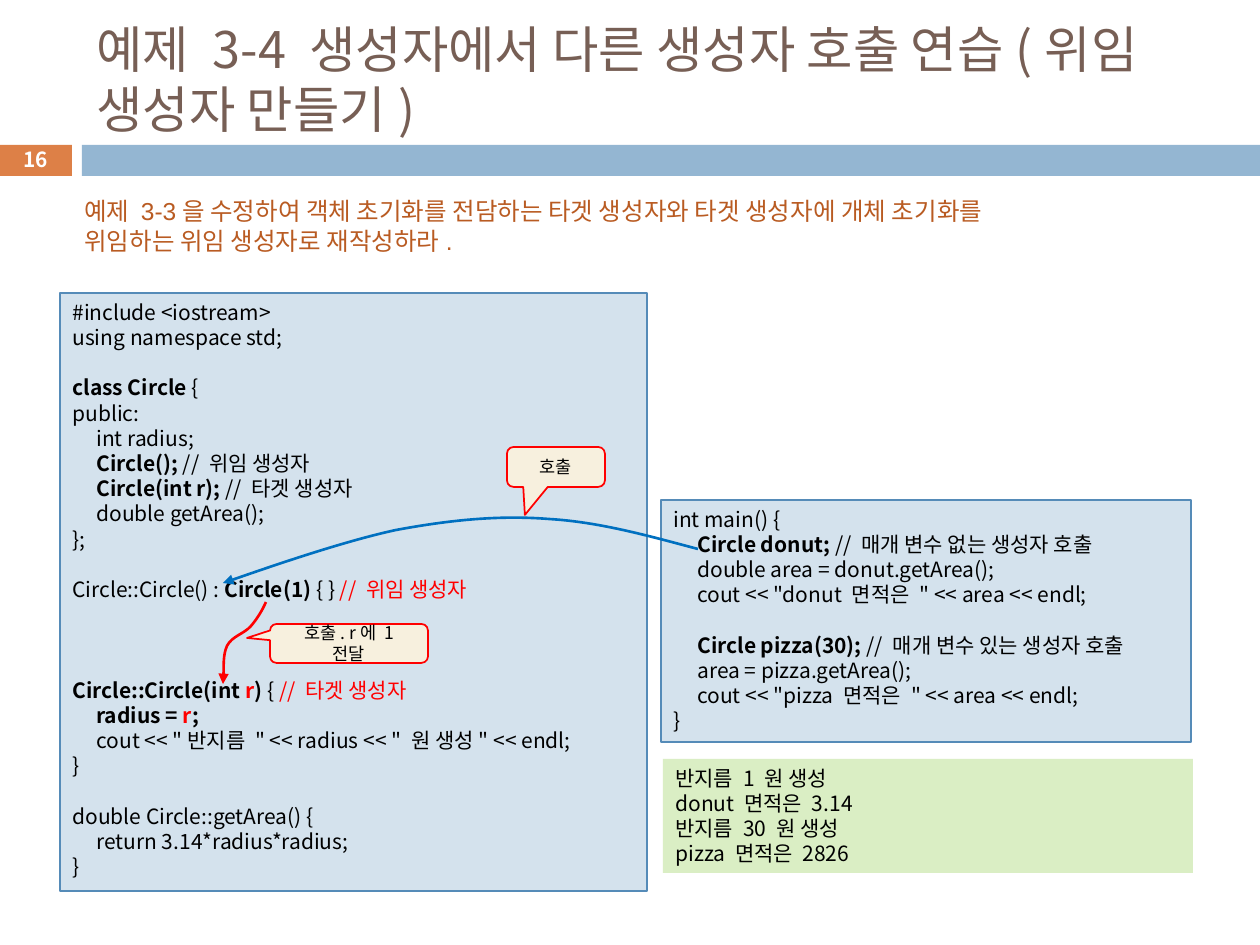
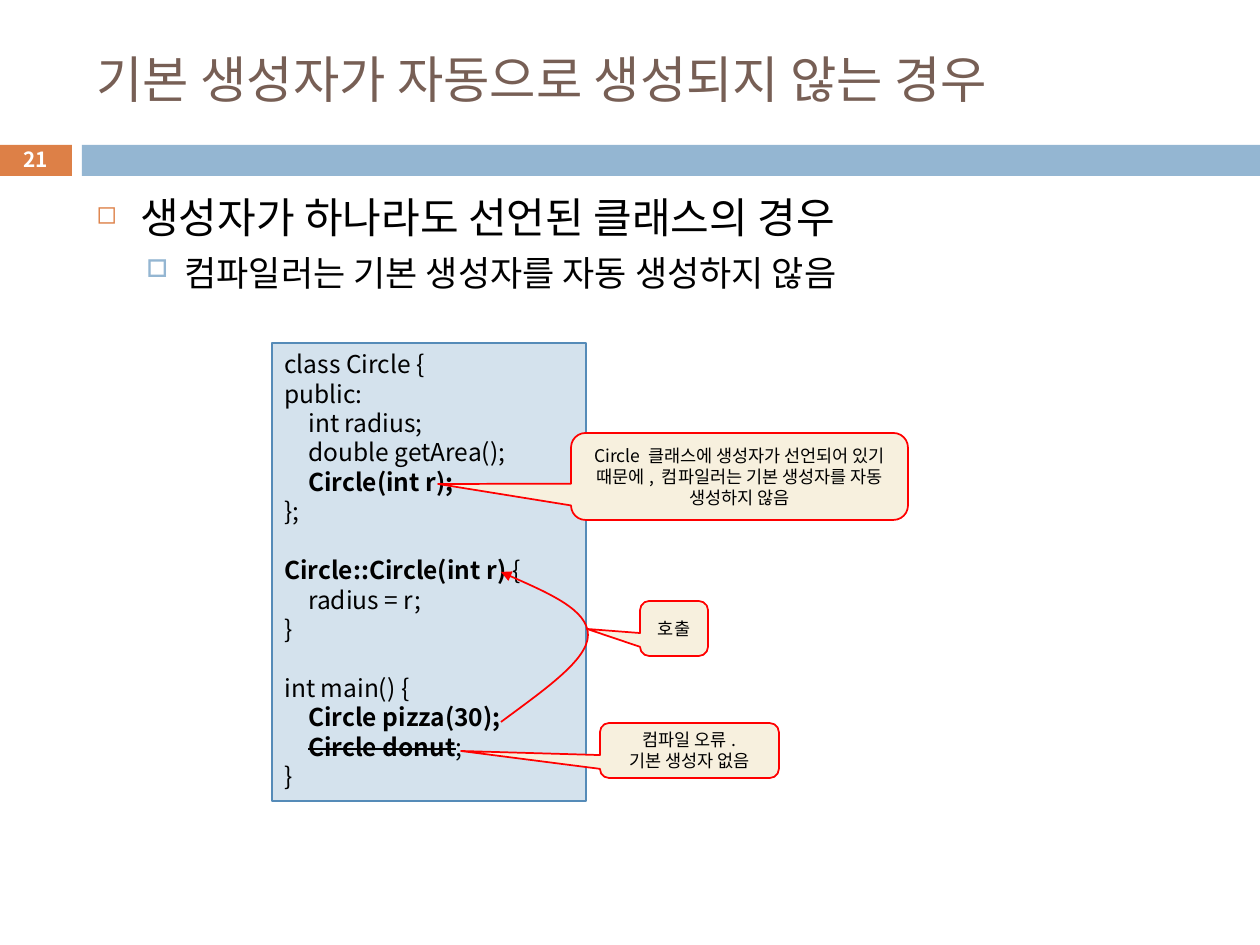
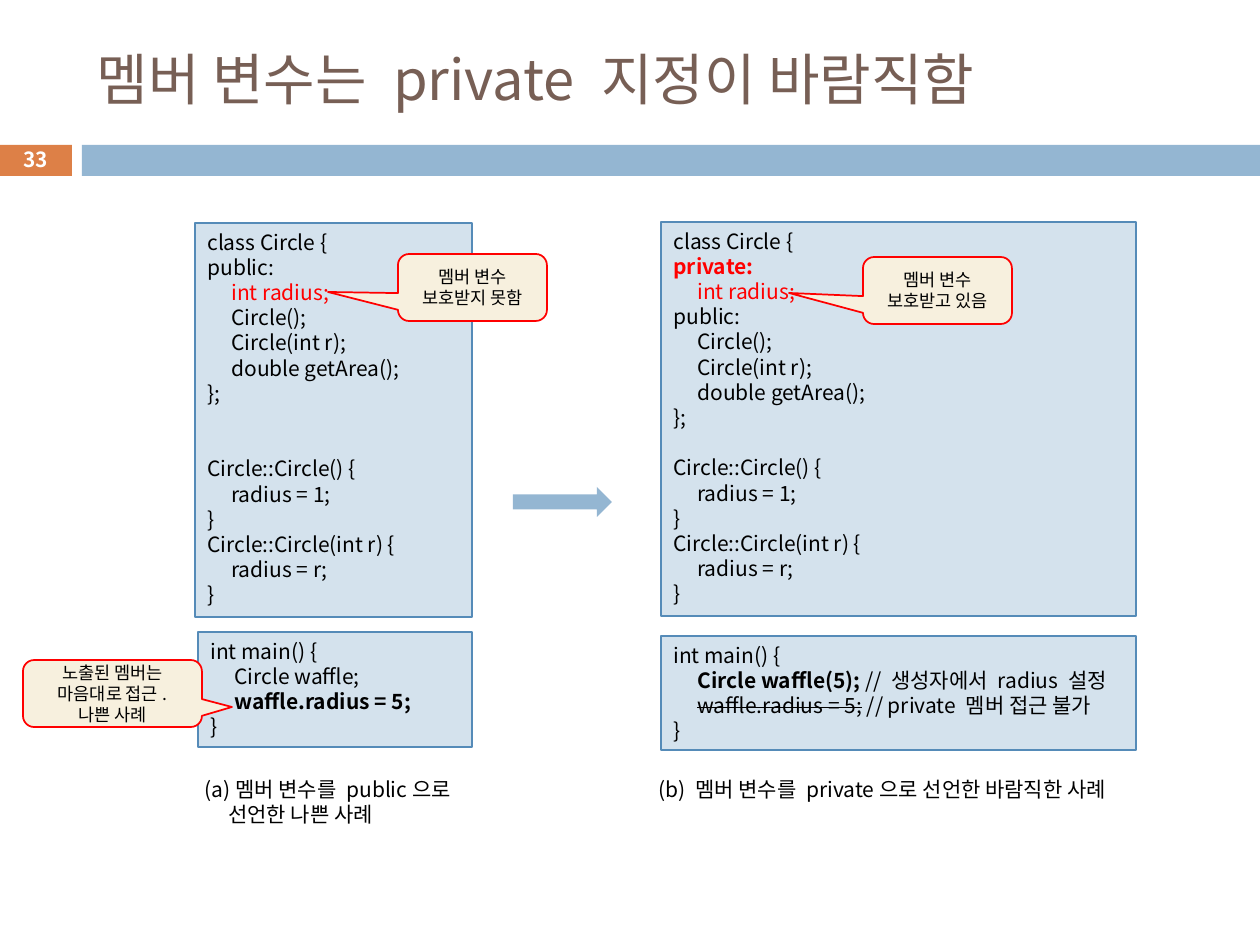
from pptx import Presentation
from pptx.dml.color import RGBColor
from pptx.enum.shapes import MSO_SHAPE as SHAPE
from pptx.enum.text import MSO_ANCHOR as ANCHOR, PP_ALIGN as ALIGN
from pptx.oxml.ns import qn
from pptx.oxml.xmlchemy import OxmlElement
from pptx.util import Pt

SCALE = 914400 / 126
FONT = "Noto Sans CJK KR"
LEADING = 1.2
TAB = 24
COLORS = {
    "title": "775F55", "orange": "DD8047", "band": "94B6D2", "white": "FFFFFF",
    "question": "B95B22", "code": "D4E2ED", "code_edge": "558BB8", "output": "DAEEC4",
    "callout": "F7F0DE", "red": "FF0000", "blue": "0070C0", "text": "000000",
}

CIRCLE_BODY = [
    "Circle::Circle() {",
    "\tradius = 1;",
    "}",
    "Circle::Circle(int r) {",
    "\tradius = r;",
    "}",
]
CIRCLE_MEMBERS = ["\tCircle();", "\tCircle(int r);", "\tdouble getArea();", "};"]

SLIDES = [
    {
        "number": "16",
        "title": ("예제 3-4 생성자에서 다른 생성자 호출 연습(위임 생성자 만들기)", 28.8),
        "question": "예제 3-3을 수정하여 객체 초기화를 전담하는 타겟 생성자와 "
                    "타겟 생성자에 개체 초기화를 위임하는 위임 생성자로 재작성하라.",
        "code": [
            ((60, 293, 587, 598), 12, [
                "#include <iostream>",
                "using namespace std;",
                "",
                [("class Circle ", "b"), ("{", "")],
                "public:",
                "\tint radius;",
                [("\t", ""), ("Circle(); ", "b"), ("// 위임 생성자", "")],
                [("\t", ""), ("Circle(int r); ", "b"), ("// 타겟 생성자", "")],
                "\tdouble getArea();",
                "};",
                "",
                [("Circle::Circle() : ", ""), ("Circle(1) ", "b"), ("{ } ", ""),
                 ("// 위임 생성자", "r")],
                "", "", "",
                [("Circle::Circle(int ", "b"), ("r", "br"), (") ", "b"), ("{ ", ""),
                 ("// 타겟 생성자", "r")],
                [("\t", ""), ("radius = ", "b"), ("r", "br"), (";", "b")],
                '\tcout << "반지름 " << radius << " 원 생성" << endl;',
                "}",
                "",
                "double Circle::getArea() {",
                "\treturn 3.14*radius*radius;",
                "}",
            ]),
            ((661, 500, 530, 242), 12, [
                "int main() {",
                [("\t", ""), ("Circle donut; ", "b"), ("// 매개 변수 없는 생성자 호출", "")],
                "\tdouble area = donut.getArea();",
                '\tcout << "donut 면적은 " << area << endl;',
                "",
                [("\t", ""), ("Circle pizza(30); ", "b"), ("// 매개 변수 있는 생성자 호출", "")],
                "\tarea = pizza.getArea();",
                '\tcout << "pizza 면적은 " << area << endl;',
                "}",
            ]),
        ],
        "output": ["반지름 1 원 생성", "donut 면적은 3.14", "반지름 30 원 생성", "pizza 면적은 2826"],
        "callouts": [
            ((270, 624, 158, 39), (247, 638), ["호출. r에 1 전달"]),
            ((507, 447, 98, 40), (525, 515), ["호출"]),
        ],
        "curves": [
            ("blue", 1.5, [(698, 549), (649, 536), (600, 522), (549, 519), (499, 515),
                           (450, 520), (396, 530), (340, 542), (223, 583), (223, 583)]),
            ("red", 1.5, [(266, 602), (262, 611), (257, 619), (251, 626), (244, 634),
                          (232, 636), (227, 646), (223, 655), (224, 677), (223, 684)]),
        ],
    },
    {
        "number": "21",
        "title": ("기본 생성자가 자동으로 생성되지 않는 경우", 28.8),
        "points": [
            ("생성자가 하나라도 선언된 클래스의 경우", 24, 7, "◻", "orange", 60, 44, 44),
            ("컴파일러는 기본 생성자를 자동 생성하지 않음", 20, 5.5, "□", "band", 70, 88, 38),
        ],
        "code": [
            ((272, 343, 314, 458), 14, [
                "class Circle {",
                "public:",
                "\tint radius;",
                "\tdouble getArea();",
                [("\t", ""), ("Circle(int r);", "b")],
                "};",
                "",
                [("Circle::Circle(int r) ", "b"), ("{", "")],
                "\tradius = r;",
                "}",
                "",
                "int main() {",
                [("\t", ""), ("Circle pizza(30);", "b")],
                [("\t", ""), ("Circle donut", "bs"), (";", "")],
                "}",
            ]),
        ],
        "callouts": [
            ((600, 723, 179, 55), (461, 751), ["컴파일 오류.", "기본 생성자 없음"]),
            ((571, 433, 337, 87), (438, 484),
             ["Circle 클래스에 생성자가 선언되어 있기 때문에, 컴파일러는 기본 생성자를 자동 생성하지 않음"]),
            ((640, 601, 68, 55), (587, 629), ["호출"]),
        ],
        "curves": [
            ("red", 1, [(501, 722), (544, 690), (588, 660), (588, 635),
                        (588, 610), (544, 591), (501, 572)]),
        ],
    },
    {
        "number": "33",
        "title": ("멤버 변수는 private 지정이 바람직함", 32),
        "code": [
            ((195, 223, 277, 394), 12,
             ["class Circle {", "public:", [("\t", ""), ("int radius;", "r")]]
             + CIRCLE_MEMBERS + ["", ""] + CIRCLE_BODY),
            ((198, 632, 274, 115), 12, [
                "int main() {",
                "\tCircle waffle;",
                [("\t", ""), ("waffle.radius = 5;", "b")],
                "}",
            ]),
            ((661, 222, 475, 394), 12,
             ["class Circle {", [("private:", "br")], [("\tint radius;", "r")], "public:"]
             + CIRCLE_MEMBERS + [""] + CIRCLE_BODY),
            ((661, 636, 475, 114), 12, [
                "int main() {",
                [("\t", ""), ("Circle waffle(5); ", "b"), ("// 생성자에서 radius 설정", "")],
                [("\t", ""), ("waffle.radius = 5;", "s"), (" // private 멤버 접근 불가", "")],
                "}",
            ]),
        ],
        "callouts": [
            ((398, 254, 149, 67), (328, 292), ["멤버 변수", "보호받지 못함"]),
            ((863, 257, 149, 67), (789, 293), ["멤버 변수", "보호받고 있음"]),
            ((23, 660, 179, 67), (232, 707), ["노출된 멤버는", "마음대로 접근.", "나쁜 사례"]),
        ],
        "arrow": (513, 487, 99, 30),
        "bad_case": ["멤버 변수를 public으로", "선언한 나쁜 사례"],
        "good_case": "(b) 멤버 변수를 private으로 선언한 바람직한 사례",
    },
]


def px(length):
    return round(length * SCALE)


def rgb(name):
    return RGBColor.from_string(COLORS[name])


def add_setting(paragraph, tag, **attributes):
    setting = OxmlElement(tag)
    for key, value in attributes.items():
        setting.set(key, str(value))
    paragraph._p.pPr.find(qn("a:defRPr")).addprevious(setting)
    return setting


def indent(paragraph, left, first=0):
    paragraph._p.pPr.set("marL", str(px(left)))
    paragraph._p.pPr.set("indent", str(px(first)))


def write(frame, lines, size, color="text", align=ALIGN.LEFT, anchor=ANCHOR.TOP,
          bold=False, font=FONT, before=0):
    frame.word_wrap = True
    frame.vertical_anchor = anchor
    written, blanks = [], 0
    for line in lines:
        if not line:
            blanks += 1
            continue
        first = frame.paragraphs[0]
        paragraph = frame.add_paragraph() if first.runs else first
        paragraph.alignment = align
        paragraph.line_spacing = Pt(size * LEADING)
        paragraph.space_before = Pt(before + blanks * size * LEADING)
        blanks = 0
        paragraph.font.size = Pt(size)
        paragraph.font.bold = bold
        paragraph.font.name = font
        paragraph.font.color.rgb = rgb(color)
        east_asian = OxmlElement("a:ea")
        east_asian.set("typeface", FONT)
        paragraph._p.pPr.find(qn("a:defRPr")).append(east_asian)
        pieces = [(line, "")] if isinstance(line, str) else line
        if pieces[0][0].startswith("\t"):
            stops = add_setting(paragraph, "a:tabLst")
            stop = OxmlElement("a:tab")
            stop.set("pos", str(px(TAB)))
            stop.set("algn", "l")
            stops.append(stop)
        for text, style in pieces:
            run = paragraph.add_run()
            run.text = text
            if "b" in style:
                run.font.bold = True
            if "r" in style:
                run.font.color.rgb = rgb("red")
            if "s" in style:
                run._r.get_or_add_rPr().set("strike", "sngStrike")
        written.append(paragraph)
    return written


def add_box(slide, kind, box, fill, edge=None, width=1):
    shape = slide.shapes.add_shape(kind, *map(px, box))
    shape.shadow.inherit = False
    shape.fill.solid()
    shape.fill.fore_color.rgb = rgb(fill)
    if edge:
        shape.line.color.rgb = rgb(edge)
        shape.line.width = Pt(width)
    else:
        shape.line.fill.background()
    return shape


def add_text(slide, box, lines, size, **style):
    frame = slide.shapes.add_textbox(*map(px, box)).text_frame
    return write(frame, lines, size, **style)


def add_frame(slide, number, title, size):
    add_box(slide, SHAPE.RECTANGLE, (0, 145, 72, 31), "orange")
    add_box(slide, SHAPE.RECTANGLE, (82, 145, 1178, 31), "band")
    heading = slide.shapes.title
    heading.left, heading.top, heading.width, heading.height = map(px, (84, 32, 1124, 93))
    write(heading.text_frame, [title], size, "title", anchor=ANCHOR.MIDDLE)
    add_text(slide, (0, 142, 72, 34), [number], 11.9, color="white",
             align=ALIGN.CENTER, anchor=ANCHOR.MIDDLE, bold=True)


def add_points(slide, points):
    frame = slide.shapes.add_textbox(*map(px, (84, 185, 1124, 704))).text_frame
    for text, size, before, mark, color, percent, left, hang in points:
        paragraph, = write(frame, [text], size, before=before)
        indent(paragraph, left, -hang)
        mark_color = add_setting(paragraph, "a:buClr")
        value = OxmlElement("a:srgbClr")
        value.set("val", COLORS[color])
        mark_color.append(value)
        add_setting(paragraph, "a:buSzPct", val=percent * 1000)
        add_setting(paragraph, "a:buChar", char=mark)


def add_callout(slide, box, tip, lines):
    callout = add_box(slide, SHAPE.ROUNDED_RECTANGULAR_CALLOUT, box, "callout", "red")
    left, top, width, height = box
    callout.adjustments[0] = (tip[0] - left - width / 2) / width
    callout.adjustments[1] = (tip[1] - top - height / 2) / height
    write(callout.text_frame, lines, 10, align=ALIGN.CENTER, anchor=ANCHOR.MIDDLE)


def add_curve(slide, color, width, points):
    builder = slide.shapes.build_freeform(*points[0], scale=SCALE)
    builder.add_line_segments(points[1:], close=False)
    curve = builder.convert_to_shape()
    curve.shadow.inherit = False
    curve.fill.background()
    curve.line.color.rgb = rgb(color)
    curve.line.width = Pt(width)
    outline = curve._element.find(".//" + qn("a:path"))
    segments = outline.findall(qn("a:lnTo"))
    for start in range(0, len(segments), 3):
        bezier = OxmlElement("a:cubicBezTo")
        for segment in segments[start:start + 3]:
            bezier.append(segment[0])
            outline.remove(segment)
        outline.append(bezier)
    head = OxmlElement("a:tailEnd")
    head.set("type", "triangle")
    curve.line._get_or_add_ln().append(head)


def add_bad_case(slide, lines):
    lettered, continued = add_text(slide, (192, 770, 287, 63), lines, 12)
    indent(lettered, 31, -31)
    add_setting(lettered, "a:buFont", typeface=FONT)
    add_setting(lettered, "a:buAutoNum", type="alphaLcParenBoth")
    indent(continued, TAB)


def build(deck, content):
    slide = deck.slides.add_slide(deck.slide_layouts[5])
    add_frame(slide, content["number"], *content["title"])
    if "question" in content:
        add_text(slide, (72, 190, 983, 72), [content["question"]], 14,
                 color="question", font="Arial")
    if "points" in content:
        add_points(slide, content["points"])
    for box, size, lines in content["code"]:
        panel = add_box(slide, SHAPE.RECTANGLE, box, "code", "code_edge", 0.75)
        write(panel.text_frame, lines, size)
    if "output" in content:
        console = add_box(slide, SHAPE.RECTANGLE, (663, 759, 530, 114), "output")
        write(console.text_frame, content["output"], 12)
    for curve in content.get("curves", []):
        add_curve(slide, *curve)
    for callout in content["callouts"]:
        add_callout(slide, *callout)
    if "arrow" in content:
        add_box(slide, SHAPE.RIGHT_ARROW, content["arrow"], "band")
        add_bad_case(slide, content["bad_case"])
        add_text(slide, (646, 770, 504, 38), [content["good_case"]], 12)


def main():
    deck = Presentation()
    deck.slide_width, deck.slide_height = px(1260), px(945)
    for content in SLIDES:
        build(deck, content)
    deck.save("out.pptx")


if __name__ == "__main__":
    main()
